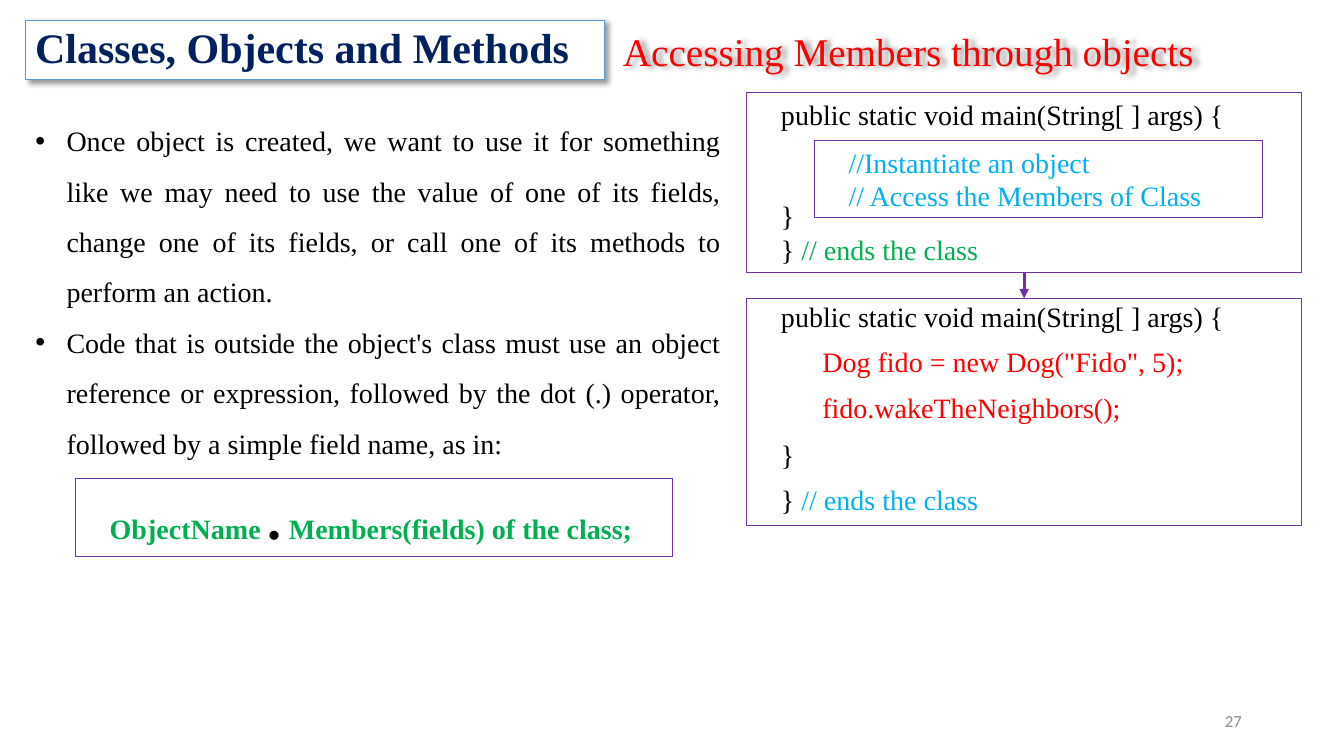
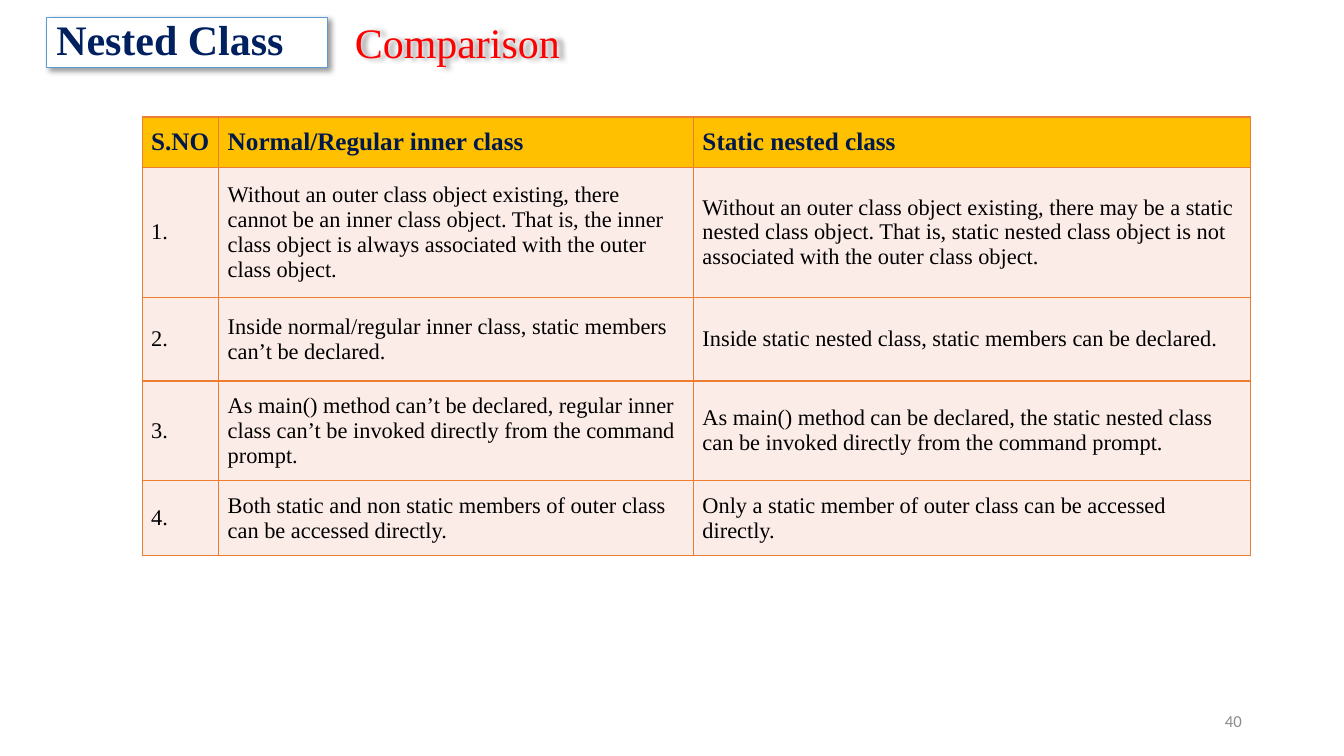
from lxml import etree
from pptx import Presentation
from pptx.dml.color import RGBColor
from pptx.enum.shapes import MSO_CONNECTOR, MSO_SHAPE
from pptx.enum.text import MSO_ANCHOR, MSO_AUTO_SIZE, PP_ALIGN
from pptx.oxml.ns import qn
from pptx.util import Inches, Pt

RECT, STRAIGHT = MSO_SHAPE.RECTANGLE, MSO_CONNECTOR.STRAIGHT
TOP, MIDDLE = MSO_ANCHOR.TOP, MSO_ANCHOR.MIDDLE
LEFT, RIGHT, JUSTIFY = PP_ALIGN.LEFT, PP_ALIGN.RIGHT, PP_ALIGN.JUSTIFY
FIXED = MSO_AUTO_SIZE.NONE

SERIF, SANS = "Times New Roman", "Calibri"
BLACK, WHITE, RED, NAVY = "000000", "FFFFFF", "FF0000", "002060"
GREEN, CYAN, PURPLE, BLUE = "00B050", "00B0F0", "7030A0", "5B9BD5"
GREY, AMBER, ROSE, ORANGE, HEAD_TEXT = "8C8C8C", "FFC000", "FCECE8", "ED7D31", "00194C"
CODE_SIZE, CODE_INDENT, CODE_LEADING = 20, 0.24, 24


def rgb(value):
    return RGBColor.from_string(value)


def box(left, top, width, height):
    return [Inches(v) for v in (left, top, width, height)]


def place(shape, at):
    shape.left, shape.top, shape.width, shape.height = box(*at)


def sub(parent, tag, **attrs):
    return etree.SubElement(parent, qn(tag), attrs)


def style(r, size, color, bold=False, font=SERIF):
    r.font.size, r.font.name, r.font.bold = Pt(size), font, bold
    r.font.color.rgb = rgb(color)


def add_shadow(shape, distance, angle):
    effects = sub(shape._element.spPr, "a:effectLst")
    outer = sub(effects, "a:outerShdw", blurRad=str(Pt(4)), dist=str(Pt(distance)),
                dir=str(angle * 60000), algn="tl", rotWithShape="0")
    sub(sub(outer, "a:srgbClr", val=BLACK), "a:alpha", val="40000")


def add_rect(s, at, line, fill=None):
    sp = s.shapes.add_shape(RECT, *box(*at))
    if fill:
        sp.fill.solid()
        sp.fill.fore_color.rgb = rgb(fill)
    else:
        sp.fill.background()
    sp.line.color.rgb = rgb(line)
    sp.line.width = Pt(0.75)
    return sp


def write_line(tf, text, size, color, bold=False, font=SERIF, align=LEFT):
    tf.word_wrap, tf.auto_size, tf.vertical_anchor = True, FIXED, MIDDLE
    tf.text = text
    p = tf.paragraphs[0]
    p.alignment = align
    style(p.runs[0], size, color, bold, font)
    return p


# Shared header and page number
def add_header(s, topic, topic_at, title, title_at, title_size, page):
    sp = add_rect(s, topic_at, BLUE, WHITE)
    add_shadow(sp, 3, 45)
    write_line(sp.text_frame, topic, 30, NAVY, True).line_spacing = 0.9

    place(s.shapes.title, title_at)
    write_line(s.shapes.title.text_frame, title, title_size, RED).line_spacing = 0.9
    add_shadow(s.shapes.title, 4, 0)

    number = s.shapes.add_textbox(*box(9.42, 6.95, 3, 0.4))
    write_line(number.text_frame, page, 12, GREY, font=SANS, align=RIGHT)


# Lines are (space before, [(text, colour, size, bold), ...])
def write_code(sp, lines, indent=CODE_INDENT, leading=CODE_LEADING):
    tf = sp.text_frame
    tf.word_wrap, tf.vertical_anchor = True, TOP
    for i, (before, parts) in enumerate(lines):
        p = tf.add_paragraph() if i else tf.paragraphs[0]
        p._p.get_or_add_pPr().set("marL", str(Inches(indent)))
        p.alignment, p.line_spacing, p.space_before = LEFT, Pt(leading), Pt(before)
        for text, color, size, bold in parts:
            r = p.add_run()
            r.text = text
            style(r, size, color, bold)


def code(text, color=BLACK, size=CODE_SIZE, bold=False):
    return text, color, size, bold


def add_code_box(s, at, lines, leading=CODE_LEADING):
    sp = add_rect(s, at, PURPLE)
    sp.shadow.inherit = False
    write_code(sp, lines, leading=leading)
    return sp


def add_bullets(body, at, items):
    place(body, at)
    tf = body.text_frame
    tf.auto_size = FIXED
    for i, item in enumerate(items):
        p = tf.add_paragraph() if i else tf.paragraphs[0]
        p.text = item
        pPr = p._p.get_or_add_pPr()
        pPr.set("marL", str(Inches(0.31)))
        pPr.set("indent", str(Inches(-0.31)))
        p.alignment, p.line_spacing, p.space_before = JUSTIFY, Pt(36), Pt(0)
        style(p.runs[0], CODE_SIZE, BLACK)


def add_arrow(s, start, end):
    c = s.shapes.add_connector(STRAIGHT, 0, 0, 0, 0)
    c.begin_connect(start, 2)
    c.end_connect(end, 0)
    c.line.color.rgb = rgb(PURPLE)
    c.line.width = Pt(2.25)
    sub(c.line._get_or_add_ln(), "a:tailEnd", type="triangle")
    sub(c._element.spPr, "a:effectLst")


# Skeleton and worked example of main(), joined by an arrow
def add_main_examples(s, left, top):
    opening = (0, [code("public static void main(String[ ] args) {")])
    skeleton = add_code_box(s, (left, top, 5.5, 1.78), [
        opening, (48, [code("}")]),
        (0, [code("} "), code("// ends the class", GREEN)])])
    add_code_box(s, (left + 0.67, top + 0.47, 4.45, 0.77), [
        (0, [code("//Instantiate an object", CYAN)]),
        (0, [code("// Access the Members of Class", CYAN)])])
    example = add_code_box(s, (left, top + 2.04, 5.5, 2.25), [
        opening, (77, [code("}")]),
        (10, [code("} "), code("// ends the class", CYAN)])], leading=21.6)
    calls = ('Dog fido = new Dog("Fido", 5);', "fido.wakeTheNeighbors();")
    for i, call in enumerate(calls):
        tb = s.shapes.add_textbox(*box(left + 0.65, top + 2.45 + 0.45 * i, 3.81, 0.44))
        write_code(tb, [(0, [code(call, RED)])], indent=0)
    add_arrow(s, skeleton, example)


def set_borders(cell, color):
    tcPr = cell._tc.get_or_add_tcPr()
    for i, tag in enumerate(("a:lnL", "a:lnR", "a:lnT", "a:lnB")):
        ln = etree.Element(qn(tag), w=str(Pt(1)))
        sub(sub(ln, "a:solidFill"), "a:srgbClr", val=color)
        tcPr.insert(i, ln)


def add_comparison(s, at, widths, heights, rows):
    table = s.shapes.add_table(len(rows), len(widths), *box(*at)).table
    table.first_row = table.horz_banding = False
    for column, width in zip(table.columns, widths):
        column.width = Inches(width)
    for i, (height, row) in enumerate(zip(heights, rows)):
        table.rows[i].height = Inches(height)
        head = i == 0
        for j, text in enumerate(row):
            cell = table.cell(i, j)
            cell.text = text
            style(cell.text_frame.paragraphs[0].runs[0], 18 if head else 16,
                  HEAD_TEXT if head else BLACK, head)
            cell.vertical_anchor = MIDDLE
            cell.margin_left = cell.margin_right = Inches(0.09)
            cell.margin_top = cell.margin_bottom = Inches(0.09 if head else 0.12)
            cell.fill.solid()
            cell.fill.fore_color.rgb = rgb(AMBER if head else ROSE)
            set_borders(cell, ORANGE)


def members_slide(prs):
    s = prs.slides.add_slide(prs.slide_layouts[1])
    add_header(s, "Classes, Objects and Methods", (0.25, 0.2, 5.75, 0.59),
               "Accessing Members through objects", (6.08, 0.27, 6.83, 0.53), 28, "27")
    add_bullets(s.placeholders[1], (0.25, 1.01, 7, 3.64), [
        "Once object is created, we want to use it for something like we may need to use "
        "the value of one of its fields, change one of its fields, or call one of its "
        "methods to perform an action.",
        "Code that is outside the object's class must use an object reference or "
        "expression, followed by the dot (.) operator, followed by a simple field name, "
        "as in:"])
    add_code_box(s, (0.75, 4.75, 5.92, 0.77), [
        (0, [code("ObjectName ", GREEN, bold=True), code(".", size=40, bold=True),
             code(" Members(fields) of the class;", GREEN, bold=True)])], leading=48)
    add_main_examples(s, 7.41, 0.92)


def comparison_slide(prs):
    s = prs.slides.add_slide(prs.slide_layouts[5])
    add_header(s, "Nested Class", (0.46, 0.17, 2.79, 0.5),
               "Comparison", (3.42, 0.17, 2.33, 0.56), 30, "40")
    add_comparison(s, (1.41, 1.16, 11, 4.35), (0.76, 4.71, 5.53),
                   (0.5, 1.29, 0.83, 0.99, 0.74), [
        ("S.NO", "Normal/Regular inner class", "Static nested class"),
        ("1.", "Without an outer class object existing, there cannot be an inner class "
         "object. That is, the inner class object is always associated with the outer "
         "class object.",
         "Without an outer class object existing, there may be a static nested class "
         "object. That is, static nested class object is not associated with the outer "
         "class object."),
        ("2.", "Inside normal/regular inner class, static members can’t be declared.",
         "Inside static nested class, static members can be declared."),
        ("3.", "As main() method can’t be declared, regular inner class can’t be invoked "
         "directly from the command prompt.",
         "As main() method can be declared, the static nested class can be invoked "
         "directly from the command prompt."),
        ("4.", "Both static and non static members of outer class can be accessed directly.",
         "Only a static member of outer class can be accessed directly.")])


def main():
    prs = Presentation()
    prs.slide_width, prs.slide_height = Inches(40 / 3), Inches(7.5)
    members_slide(prs)
    comparison_slide(prs)
    prs.save("out.pptx")


if __name__ == "__main__":
    main()
